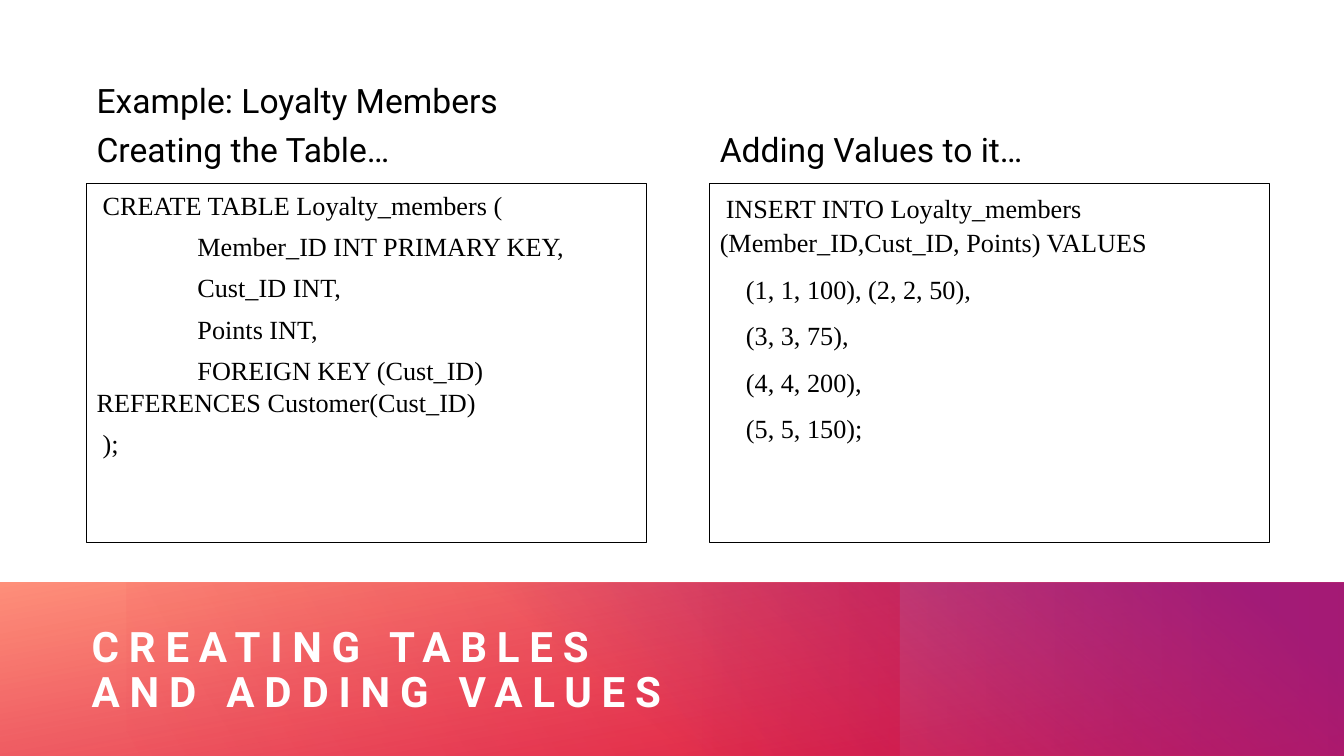
"""Build a slide that shows how to create an SQL table and add values to it."""
from lxml.etree import SubElement
from pptx import Presentation
from pptx.dml.color import RGBColor
from pptx.enum.shapes import MSO_SHAPE
from pptx.enum.text import MSO_ANCHOR, PP_ALIGN
from pptx.oxml.ns import qn
from pptx.util import Inches, Pt

COLORS = {
    "white": "FFFFFF", "black": "000000", "red": "DA002F",
    "coral": "FF907A", "purple": "92248E",
}
HEADING = {"name": "Roboto", "size": Pt(24), "bold": False}
CODE = {"name": "Times New Roman", "size": Pt(18.7), "bold": False}
TITLE = {"name": "Roboto", "size": Pt(30), "bold": True}


def place(shape, left, top, width, height):
    """Set a shape's position and size in inches."""
    bounds = {"left": left, "top": top, "width": width, "height": height}
    for name, value in bounds.items():
        setattr(shape, name, Inches(value))


def write(frame, lines, font, color, anchor, spacing):
    """Fill a text frame with (indent, text) lines in one format."""
    frame.word_wrap = True
    frame.vertical_anchor = anchor
    for number, (indent, text) in enumerate(lines):
        para = frame.paragraphs[0] if number == 0 else frame.add_paragraph()
        para.text = text
        para.alignment = PP_ALIGN.LEFT
        for name, value in spacing.items():
            setattr(para, name, value)
        para._p.get_or_add_pPr().set("indent", str(Inches(indent)))
        for span in para.runs:
            for name, value in font.items():
                setattr(span.font, name, value)
            span.font.color.rgb = RGBColor.from_string(COLORS[color])


deck = Presentation()
deck.slide_width, deck.slide_height = Inches(13.33), Inches(7.5)
page = deck.slides.add_slide(deck.slide_layouts[5])
page.background.fill.solid()
page.background.fill.fore_color.rgb = RGBColor.from_string(COLORS["white"])

BAND_TOP = 5.78
bands = [
    (0, 13.33, 0, 260, [(0, "red", 88), (100, "coral", 100)]),
    (4.42, 8.91, 0, 310, [(22, "purple", 0), (91, "purple", 100)]),
    (1.25, 7.67, 180, 330, [(0, "red", 30), (99, "red", 0)]),
    (4.42, 8.91, 180, 0, [(0, "red", 26), (72, "red", 0)]),
]
for left, width, rotation, angle, stops in bands:
    band = page.shapes.add_shape(MSO_SHAPE.RECTANGLE, 0, 0, 0, 0)
    place(band, left, BAND_TOP, width, 7.5 - BAND_TOP)
    band.rotation = rotation
    band.shadow.inherit = False
    band.line.fill.background()
    band.fill.gradient()
    band.fill.gradient_angle = -angle % 360
    for stop, (position, color, opacity) in zip(band.fill.gradient_stops, stops):
        stop.position = position / 100
        stop.color.rgb = RGBColor.from_string(COLORS[color])
        tint = stop._gs.find(qn("a:srgbClr"))
        SubElement(tint, qn("a:alpha")).set("val", str(opacity * 1000))

title = page.shapes.title
page.shapes._spTree.append(title._element)
place(title, 0.91, 6.18, 11.58, 0.96)
for side in ("left", "top", "right", "bottom"):
    setattr(title.text_frame, f"margin_{side}", 0)
write(title.text_frame, [(0, "CREATING TABLES\vAND ADDING VALUES")], TITLE,
      "white", MSO_ANCHOR.MIDDLE, {"line_spacing": 0.9})
for span in title.text_frame.paragraphs[0].runs:
    span._r.get_or_add_rPr().set("spc", "700")

COLUMN_WIDTH = 5.55
columns = [
    (0.86,
     ["Example: Loyalty Members", "Creating the Table…"],
     [(0.06, "CREATE TABLE Loyalty_members ("),
      (1, "Member_ID INT PRIMARY KEY,"),
      (1, "Cust_ID INT,"),
      (1, "Points INT,"),
      (1, "FOREIGN KEY (Cust_ID) REFERENCES Customer(Cust_ID)"),
      (0.06, ");")],
     {"line_spacing": 1.04, "space_after": Pt(6)}),
    (7.04,
     ["Adding Values to it…"],
     [(0.06, "INSERT INTO Loyalty_members (Member_ID,Cust_ID, Points) VALUES"),
      (0.26, "(1, 1, 100), (2, 2, 50),"),
      (0.26, "(3, 3, 75),"),
      (0.26, "(4, 4, 200),"),
      (0.26, "(5, 5, 150);")],
     {"line_spacing": 1.11, "space_after": Pt(8.3)}),
]
for left, headings, code, spacing in columns:
    heading = page.shapes.add_textbox(0, 0, 0, 0)
    place(heading, left, 0.78, COLUMN_WIDTH, 0.95)
    write(heading.text_frame, [(0, text) for text in headings], HEADING,
          "black", MSO_ANCHOR.BOTTOM, {"space_after": Pt(6)})

    panel = page.shapes.add_shape(MSO_SHAPE.RECTANGLE, 0, 0, 0, 0)
    place(panel, left, 1.82, COLUMN_WIDTH, 3.56)
    panel.shadow.inherit = False
    panel.fill.background()
    panel.line.color.rgb = RGBColor.from_string(COLORS["black"])
    panel.line.width = Pt(0.75)
    write(panel.text_frame, code, CODE, "black", MSO_ANCHOR.TOP, spacing)

deck.save("out.pptx")
